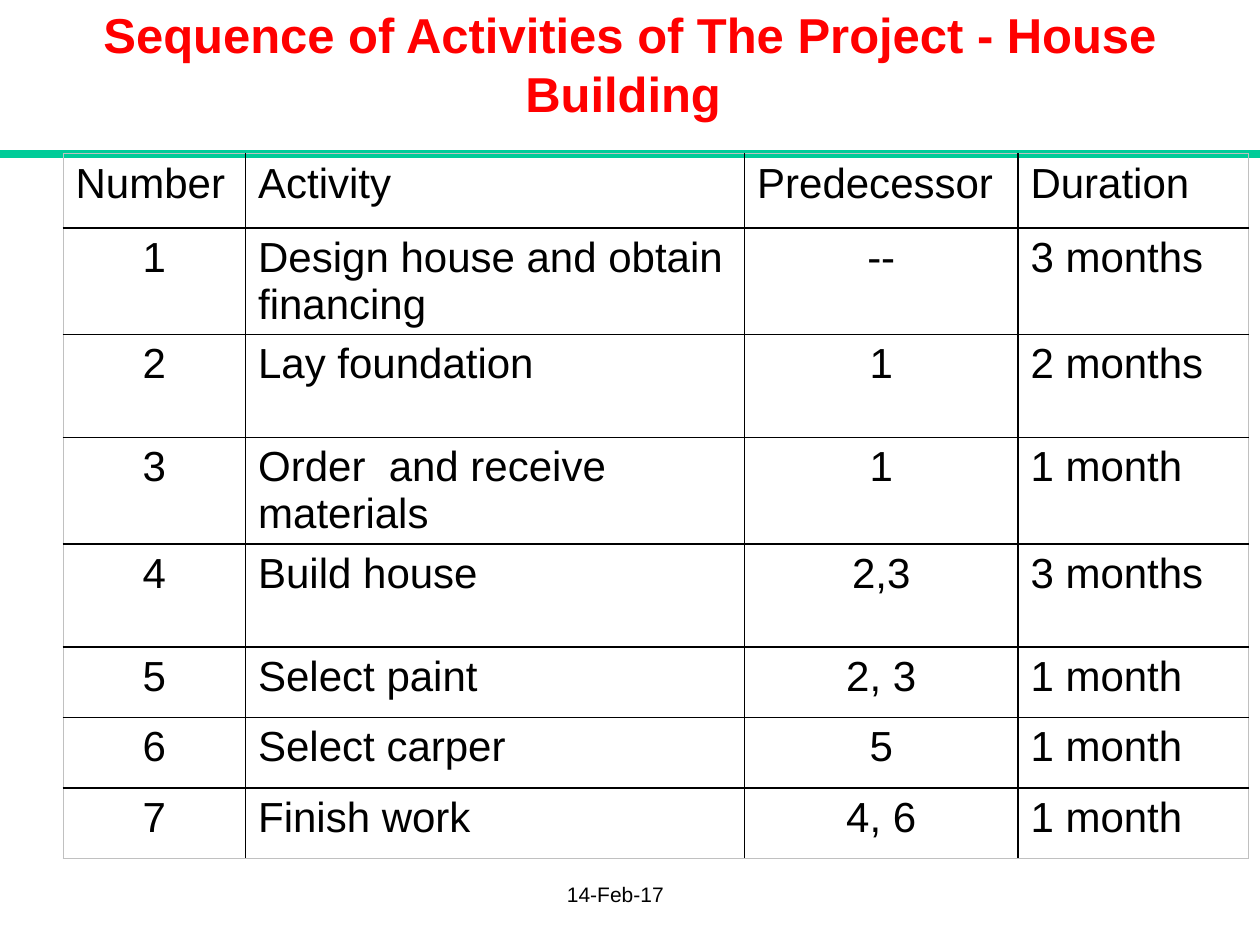
from dataclasses import dataclass
from typing import Any

from lxml.etree import SubElement as add_element
from pptx import Presentation
from pptx.dml.color import RGBColor as Rgb
from pptx.enum.shapes import MSO_CONNECTOR as Connector
from pptx.enum.text import MSO_ANCHOR as Anchor, PP_ALIGN as Align
from pptx.oxml.ns import qn
from pptx.util import Cm, Pt

COLORS = {"title": "FF0000", "rule": "00CC99", "text": "000000",
          "grid": "000000", "frame": "C0C0C0"}
COLUMN_WIDTHS = [3.68, 10.06, 5.51, 4.65]
ROW_HEIGHTS = [1.5, 2.08, 2.08, 1.42, 2.08, 1.42, 1.42, 1.42]
CENTERED_COLUMNS = (0, 2)
ACTIVITIES = [
    ["Number", "Activity", "Predecessor", "Duration "],
    ["1", "Design house and obtain financing", "--", "3 months"],
    ["2", "Lay foundation", "1", "2 months"],
    ["3", "Order  and receive materials", "1", "1 month"],
    ["4", "Build house", "2,3", "3 months"],
    ["5", "Select paint", "2, 3", "1 month"],
    ["6", "Select carper", "5", "1 month"],
    ["7", "Finish work", "4, 6", "1 month"],
]


@dataclass
class SlideBuilder:
    page: Any
    font: str = "Arial"

    def set_text(self, frame, text, size, color, align=Align.LEFT, bold=False):
        para = frame.paragraphs[0]
        para.text = text
        para.alignment = align
        for span in para.runs:
            span.font.name = self.font
            span.font.size = Pt(size)
            span.font.bold = bold
            span.font.color.rgb = Rgb.from_string(COLORS[color])

    def clear_margins(self, frame):
        frame.margin_left = frame.margin_right = 0
        frame.margin_top = frame.margin_bottom = 0
        frame.vertical_anchor = Anchor.TOP
        frame.word_wrap = True

    def title(self, text, left, top, width, height):
        box = self.page.shapes.title
        box.left, box.top, box.width, box.height = map(Cm, (left, top, width, height))
        self.clear_margins(box.text_frame)
        self.set_text(box.text_frame, text, 28, "title", Align.CENTER, True)

    def label(self, text, left, top, width, height):
        box = self.page.shapes.add_textbox(*map(Cm, (left, top, width, height)))
        self.clear_margins(box.text_frame)
        self.set_text(box.text_frame, text, 12, "text")

    def rule(self, left, top, width):
        line = self.page.shapes.add_connector(
            Connector.STRAIGHT, Cm(left), Cm(top), Cm(left + width), Cm(top))
        line.line.color.rgb = Rgb.from_string(COLORS["rule"])
        line.line.width = Pt(4.5)
        add_element(line._element.spPr, qn("a:effectLst"))

    def border(self, cell, side, outer):
        edge = add_element(cell._tc.get_or_add_tcPr(), qn(f"a:ln{side}"),
                           w=str(Pt(0.5 if outer else 1)))
        fill = add_element(edge, qn("a:solidFill"))
        add_element(fill, qn("a:srgbClr"), val=COLORS["frame" if outer else "grid"])

    def table(self, rows, left, top):
        last_row, last_column = len(rows) - 1, len(COLUMN_WIDTHS) - 1
        grid = self.page.shapes.add_table(
            len(rows), len(COLUMN_WIDTHS), Cm(left), Cm(top),
            Cm(sum(COLUMN_WIDTHS)), Cm(sum(ROW_HEIGHTS))).table
        grid.first_row = grid.horz_banding = False
        for column, width in zip(grid.columns, COLUMN_WIDTHS):
            column.width = Cm(width)
        for r, (values, height) in enumerate(zip(rows, ROW_HEIGHTS)):
            grid.rows[r].height = Cm(height)
            for c, text in enumerate(values):
                cell = grid.cell(r, c)
                centered = r > 0 and c in CENTERED_COLUMNS
                self.set_text(cell.text_frame, text, 24, "text",
                              Align.CENTER if centered else Align.LEFT)
                outer_sides = {"L": c == 0, "R": c == last_column,
                               "T": r == 0, "B": r == last_row}
                for side, outer in outer_sides.items():
                    self.border(cell, side, outer)
                cell.fill.background()


def main():
    deck = Presentation()
    deck.slide_width, deck.slide_height = Cm(25.4), Cm(19.05)
    builder = SlideBuilder(deck.slides.add_slide(deck.slide_layouts[5]))
    builder.title("Sequence of Activities of The Project - House Building ",
                  0, 0.1, 25.4, 3.1)
    builder.rule(0, 3.1, 25.4)
    builder.table(ACTIVITIES, 1.27, 3.1)
    builder.label("14-Feb-17", 11.43, 17.78, 4.04, 0.43)
    deck.save("out.pptx")


if __name__ == "__main__":
    main()
